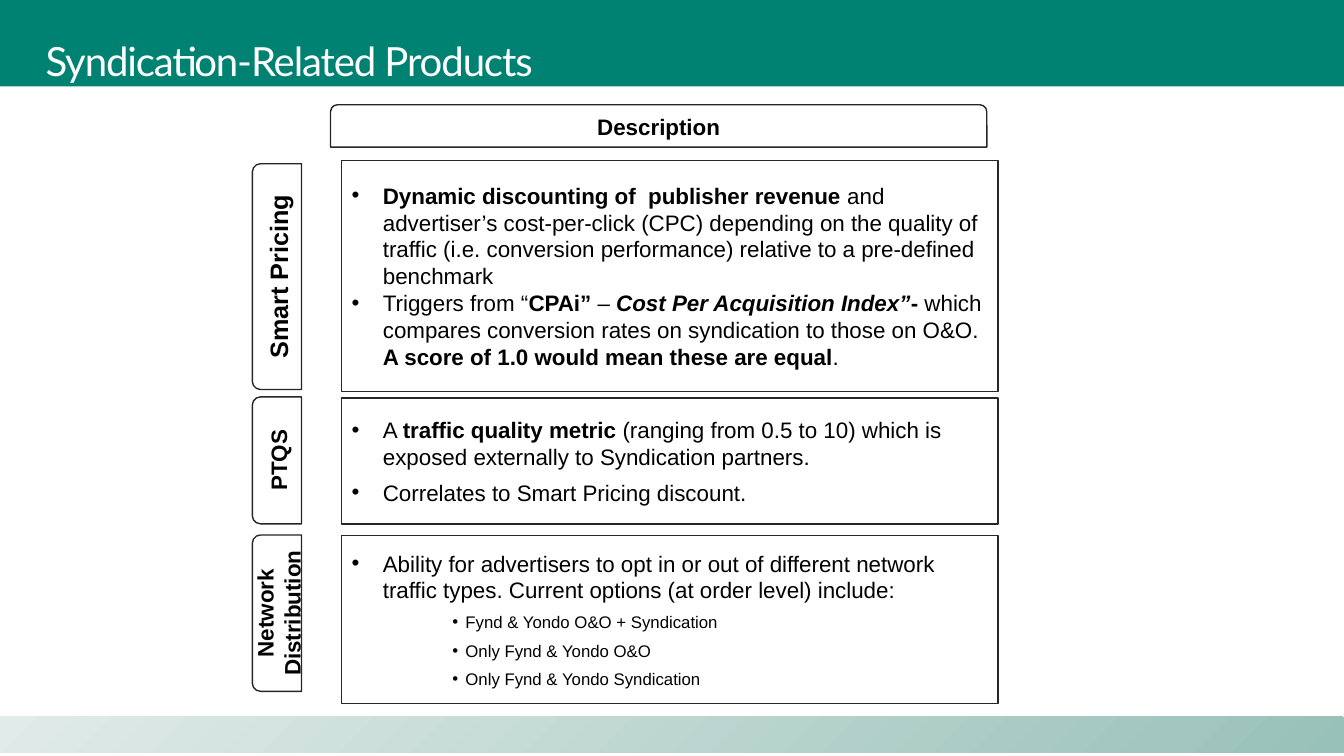
from lxml import etree
from pptx import Presentation
from pptx.dml.color import RGBColor
from pptx.enum.shapes import MSO_SHAPE
from pptx.enum.text import MSO_ANCHOR, PP_ALIGN
from pptx.oxml.ns import qn
from pptx.util import Cm, Pt

RECTANGLE = MSO_SHAPE.RECTANGLE
TAB = MSO_SHAPE.ROUND_2_SAME_RECTANGLE
MIDDLE = MSO_ANCHOR.MIDDLE
CENTER = PP_ALIGN.CENTER

WHITE = RGBColor(0xFF, 0xFF, 0xFF)
BLACK = RGBColor(0x00, 0x00, 0x00)
OUTLINE = RGBColor(0x26, 0x26, 0x26)
TEAL = RGBColor(0x00, 0x82, 0x72)
FOOTER_DARK = RGBColor(0x98, 0xC1, 0xB7)
FOOTER_LIGHT = RGBColor(0xE1, 0xEB, 0xE9)

SLIDE_WIDTH, SLIDE_HEIGHT = 33.87, 19.05
BOX_LEFT, BOX_WIDTH = 8.61, 16.54
TAB_CENTER, TAB_THICKNESS = 6.98, 1.24

# Level: left margin and first-line indent in cm, text size in points
LEVELS = {0: (0.79, -0.79, 16), 2: (2.87, -0.33, 12)}

# Paragraphs are (level, spans); a span is (text, bold, italic)
SMART_PRICING = [
    (0, [("Dynamic discounting of  publisher revenue ", True, False),
         ("and advertiser’s cost-per-click (CPC) depending on the quality of "
          "traffic (i.e. conversion performance) relative to a pre-defined "
          "benchmark", False, False)]),
    (0, [("Triggers from “", False, False),
         ("CPAi”", True, False),
         (" – ", False, False),
         ("Cost Per Acquisition Index”", True, True),
         ("-", True, False),
         (" which compares conversion rates on syndication to those on O&O. ",
          False, False),
         ("A score of 1.0 would mean these are equal", True, False),
         (".", False, False)]),
]
PTQS = [
    (0, [("A ", False, False),
         ("traffic quality metric ", True, False),
         ("(ranging from 0.5 to 10) which is exposed externally to "
          "Syndication partners.", False, False)]),
    (0, [("Correlates to Smart Pricing discount.", False, False)]),
]
NETWORK_DISTRIBUTION = [
    (0, [("Ability for advertisers to opt in or out of different network "
          "traffic types. Current options (at order level) include:",
          False, False)]),
    (2, [("Fynd & Yondo O&O + Syndication", False, False)]),
    (2, [("Only Fynd & Yondo O&O", False, False)]),
    (2, [("Only Fynd & Yondo Syndication", False, False)]),
]

# Label, label size, tab middle, tab length, box top, box height,
# space after each paragraph, paragraphs
PRODUCTS = [
    ("Smart Pricing", 18, 6.97, 5.69, 4.04, 5.82, 0, SMART_PRICING),
    ("PTQS", 16, 11.6, 3.2, 10.03, 3.18, 6, PTQS),
    ("Network Distribution", 16, 15.45, 3.94, 13.49, 4.24, 6,
     NETWORK_DISTRIBUTION),
]


def set_values(target, values):
    for name, value in values.items():
        setattr(target, name, value)


def add_span(para, text, **font_values):
    span = para.add_run()
    span.text = text
    color = font_values.pop("color", BLACK)
    set_values(span.font, {"name": "Arial", **font_values})
    span.font.color.rgb = color
    return span


def add_band(page, top, height):
    """Add a borderless strip across the whole slide width."""
    band = page.shapes.add_shape(
        RECTANGLE, 0, Cm(top), Cm(SLIDE_WIDTH), Cm(height))
    band.shadow.inherit = False
    band.line.fill.background()
    return band


def add_background(page):
    footer = add_band(page, 18.06, 0.91)
    footer.fill.gradient()
    footer.fill.gradient_angle = 135
    for stop, color in zip(footer.fill.gradient_stops,
                           (FOOTER_DARK, FOOTER_LIGHT)):
        stop.color.rgb = color
    header = add_band(page, 0, 2.18)
    header.fill.solid()
    header.fill.fore_color.rgb = TEAL


def add_title(page, text):
    box = page.shapes.add_textbox(Cm(0.74), Cm(0.81), Cm(30.15), Cm(3.68))
    set_values(box.text_frame, {
        "word_wrap": True, "margin_left": Cm(0.41), "margin_right": Cm(0.41),
        "margin_top": Cm(0.25), "margin_bottom": Cm(0.25)})
    para = box.text_frame.paragraphs[0]
    para.line_spacing = 0.9
    span = add_span(para, text, name="Lato", size=Pt(28.7), color=WHITE)
    span.font._element.set("spc", "-80")


def add_outlined(page, kind, left, top, width, height):
    box = page.shapes.add_shape(
        kind, Cm(left), Cm(top), Cm(width), Cm(height))
    box.shadow.inherit = False
    box.fill.solid()
    box.fill.fore_color.rgb = WHITE
    box.line.color.rgb = OUTLINE
    box.line.width = Pt(1)
    set_values(box.text_frame, {"word_wrap": True, "vertical_anchor": MIDDLE})
    return box


def add_tab(page, text, size, left, top, width, height, rotation=0):
    tab = add_outlined(page, TAB, left, top, width, height)
    tab.rotation = rotation
    para = tab.text_frame.paragraphs[0]
    para.alignment = CENTER
    add_span(para, text, size=Pt(size), bold=True)


def add_bullet(para, level):
    margin, indent, _ = LEVELS[level]
    para.level = level
    properties = para._p.get_or_add_pPr()
    properties.set("marL", str(Cm(margin)))
    properties.set("indent", str(Cm(indent)))
    etree.SubElement(properties, qn("a:buFont")).set("typeface", "Arial")
    etree.SubElement(properties, qn("a:buChar")).set("char", "•")


def add_description(page, top, height, space_after, paragraphs):
    box = add_outlined(page, RECTANGLE, BOX_LEFT, top, BOX_WIDTH, height)
    frame = box.text_frame
    for index, (level, spans) in enumerate(paragraphs):
        para = frame.add_paragraph() if index else frame.paragraphs[0]
        add_bullet(para, level)
        set_values(para, {"alignment": PP_ALIGN.LEFT,
                          "space_after": Pt(space_after)})
        for text, bold, italic in spans:
            add_span(para, text, size=Pt(LEVELS[level][2]),
                     bold=bold, italic=italic)


def main():
    deck = Presentation()
    set_values(deck, {"slide_width": Cm(SLIDE_WIDTH),
                      "slide_height": Cm(SLIDE_HEIGHT)})
    page = deck.slides.add_slide(deck.slide_layouts[6])
    add_background(page)
    add_title(page, "Syndication-Related Products")
    add_tab(page, "Description", 16, 8.33, 2.64, BOX_WIDTH, 1.07)
    for label, size, middle, length, top, height, space, paras in PRODUCTS:
        add_description(page, top, height, space, paras)
        add_tab(page, label, size, TAB_CENTER - length / 2,
                middle - TAB_THICKNESS / 2, length, TAB_THICKNESS, 270)
    deck.save("out.pptx")


if __name__ == "__main__":
    main()
